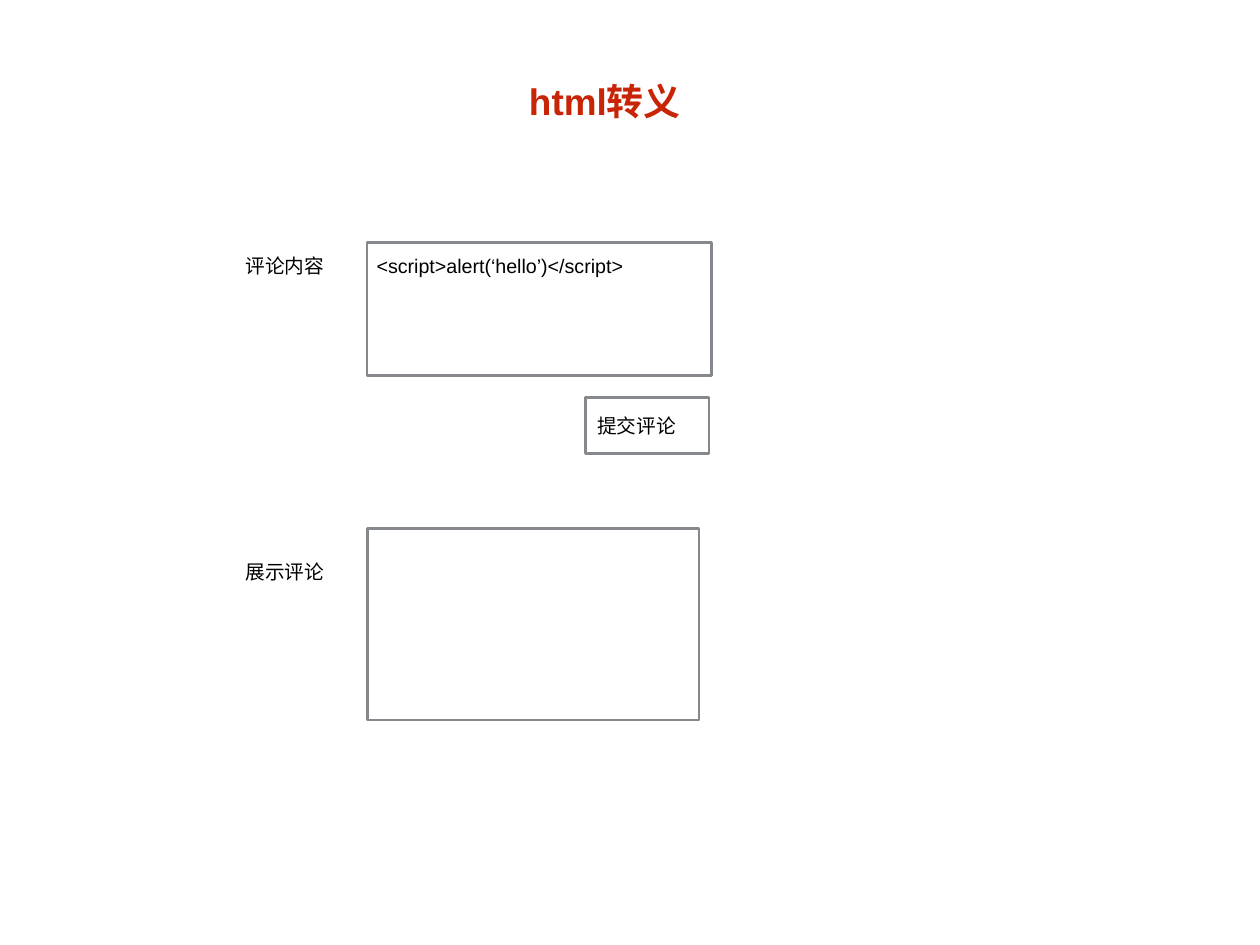
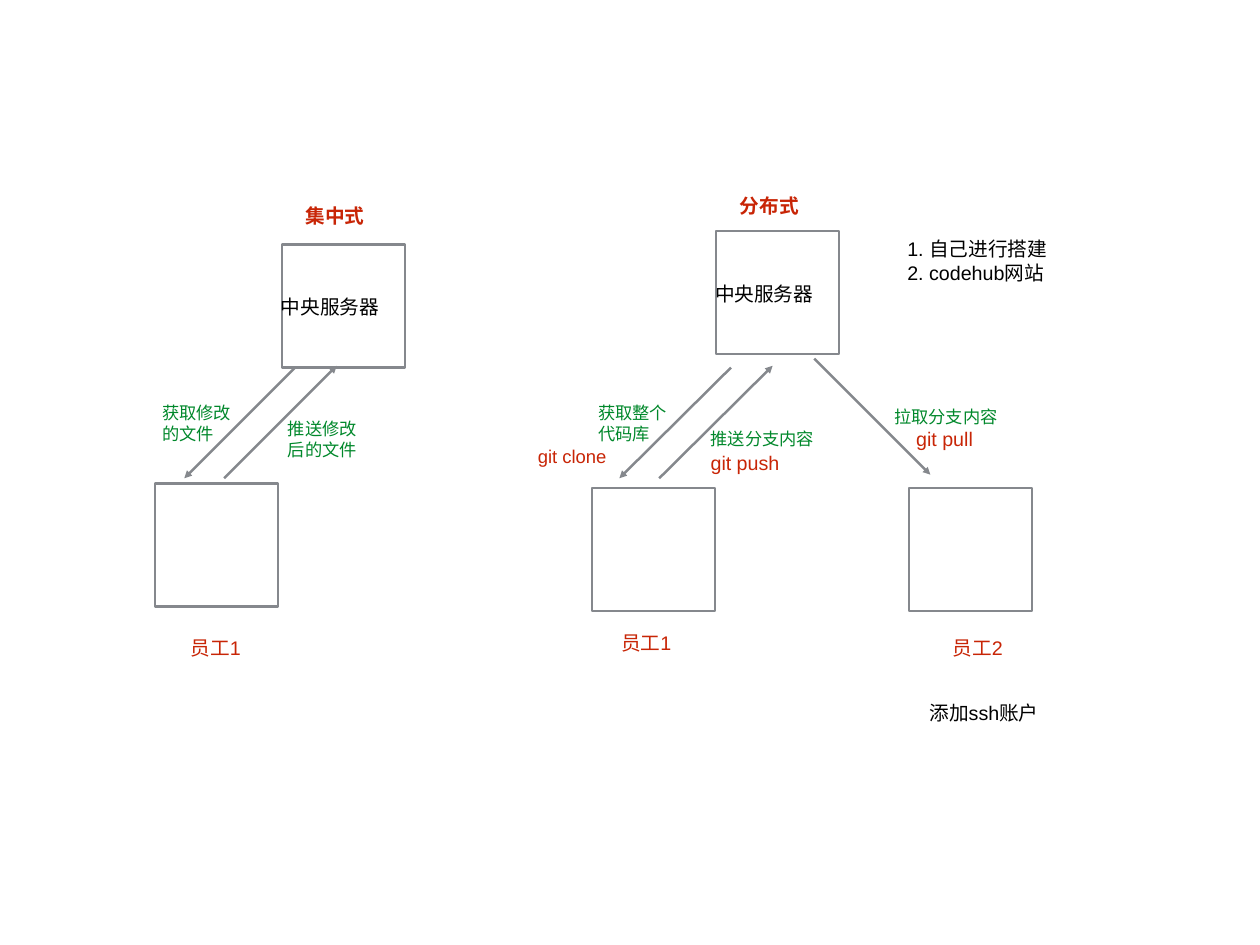
from lxml import etree
from pptx import Presentation
from pptx.dml.color import RGBColor
from pptx.enum.shapes import MSO_CONNECTOR, MSO_SHAPE
from pptx.enum.text import MSO_ANCHOR, MSO_AUTO_SIZE, PP_ALIGN
from pptx.oxml.ns import qn
from pptx.util import Inches, Pt

RECTANGLE = MSO_SHAPE.RECTANGLE
STRAIGHT = MSO_CONNECTOR.STRAIGHT
MIDDLE = MSO_ANCHOR.MIDDLE
FIXED_SIZE = MSO_AUTO_SIZE.NONE
LEFT = PP_ALIGN.LEFT

FONT = "Arial"
BLACK, RED, GREEN, GRAY = "000000", "C82506", "00882B", "85888D"
LINE_WIDTH = 2
INSET = 0.05
TITLE_ONLY, BLANK = 5, 6
NODE = 1.39


def color(hex_text):
    return RGBColor.from_string(hex_text)


class Sketch:
    """Holds the deck, its style and the page being drawn."""

    def __init__(self, width, height):
        self.deck = Presentation()
        self.deck.slide_width = Inches(width)
        self.deck.slide_height = Inches(height)
        self.page = None

    def new_page(self, layout):
        self.page = self.deck.slides.add_slide(self.deck.slide_layouts[layout])

    def set_text(self, box, text, size, ink, bold):
        frame = box.text_frame
        frame.text = text
        frame.word_wrap = True
        frame.auto_size = FIXED_SIZE
        frame.vertical_anchor = MIDDLE
        frame.margin_left = frame.margin_right = Inches(INSET)
        frame.margin_top = frame.margin_bottom = Inches(INSET)
        for para in frame.paragraphs:
            para.alignment = LEFT
            for span in para.runs:
                span.font.name = FONT
                span.font.size = Pt(size)
                span.font.bold = bold
                span.font.color.rgb = color(ink)

    def title(self, text, left, top, width, height):
        box = self.page.shapes.title
        box.left, box.top = Inches(left), Inches(top)
        box.width, box.height = Inches(width), Inches(height)
        self.set_text(box, text, 30, RED, True)

    def label(self, text, left, top, width, height=0.42, size=16, ink=BLACK, bold=False):
        box = self.page.shapes.add_textbox(
            Inches(left), Inches(top), Inches(width), Inches(height))
        self.set_text(box, text, size, ink, bold)

    def frame(self, left, top, width=NODE, height=NODE):
        box = self.page.shapes.add_shape(
            RECTANGLE, Inches(left), Inches(top), Inches(width), Inches(height))
        box.shadow.inherit = False
        box.fill.background()
        box.line.color.rgb = color(GRAY)
        box.line.width = Pt(LINE_WIDTH)

    def arrow(self, start_x, start_y, end_x, end_y):
        link = self.page.shapes.add_connector(
            STRAIGHT, Inches(start_x), Inches(start_y), Inches(end_x), Inches(end_y))
        link.line.color.rgb = color(GRAY)
        link.line.width = Pt(LINE_WIDTH)
        properties = link.element.spPr
        etree.SubElement(properties.find(qn("a:ln")), qn("a:tailEnd"), type="triangle")
        etree.SubElement(properties, qn("a:effectLst"))

    def server(self, heading, left, top, heading_top):
        self.frame(left, top)
        self.label(heading, left + 0.22, heading_top, 0.79, ink=RED, bold=True)
        self.label("中央服务器", left - 0.06, top + 0.49, 1.24)

    def employee(self, name, left, top, name_left, name_top):
        self.frame(left, top)
        self.label(name, name_left, name_top, 0.69, ink=RED)


def draw_escaping(sketch):
    sketch.new_page(TITLE_ONLY)
    sketch.title("html转义", 5.92, 0.79, 1.84, 0.69)
    for place in ((4.14, 2.74, 3.89, 1.5), (6.61, 4.49, 1.39, 0.63), (4.15, 5.97, 3.74, 2.16)):
        sketch.frame(*place)
    for text, left, top in (
            ("评论内容", 2.72, 2.79), ("提交评论", 6.69, 4.6), ("展示评论", 2.72, 6.24)):
        sketch.label(text, left, top, 1.01)
    sketch.label("<script>alert(‘hello’)</script>", 4.2, 2.81, 2.92, 0.38)


def draw_version_control(sketch):
    sketch.new_page(BLANK)
    sketch.server("集中式", 3.18, 2.76, 2.22)
    sketch.server("分布式", 8.08, 2.61, 2.11)
    for employee in (
            ("员工1", 1.75, 5.46, 2.1, 7.1),
            ("员工1", 6.68, 5.51, 6.96, 7.05),
            ("员工2", 10.26, 5.51, 10.7, 7.1)):
        sketch.employee(*employee)
    for ends in (
            (3.33, 4.15, 2.08, 5.4), (2.53, 5.4, 3.8, 4.13),
            (8.25, 4.15, 6.99, 5.4), (7.44, 5.4, 8.72, 4.13),
            (9.19, 4.05, 10.5, 5.36)):
        sketch.arrow(*ends)
    for text, left, top, width, height in (
            ("获取修改\n的文件", 1.78, 4.44, 0.96, 0.67),
            ("推送修改\n后的文件", 3.2, 4.62, 0.96, 0.67),
            ("获取整个\n代码库", 6.7, 4.44, 0.96, 0.67),
            ("推送分支内容", 7.97, 4.76, 1.29, 0.39),
            ("拉取分支内容", 10.04, 4.51, 1.29, 0.39)):
        sketch.label(text, left, top, width, height, size=14, ink=GREEN)
    for command, left, top, width, height, size in (
            ("git push", 7.97, 5.03, 0.9, 0.38, 16),
            ("git clone", 6.02, 4.97, 0.9, 0.36, 15),
            ("git pull", 10.29, 4.76, 0.77, 0.38, 16)):
        sketch.label(command, left, top, width, height, size=size, ink=RED)
    sketch.label("1. 自己进行搭建\n2. codehub网站", 10.19, 2.58, 1.77, 0.72)
    sketch.label("添加ssh账户", 10.44, 7.84, 1.36)


def main():
    sketch = Sketch(14.22, 10.67)
    draw_escaping(sketch)
    draw_version_control(sketch)
    sketch.deck.save("out.pptx")


if __name__ == "__main__":
    main()
